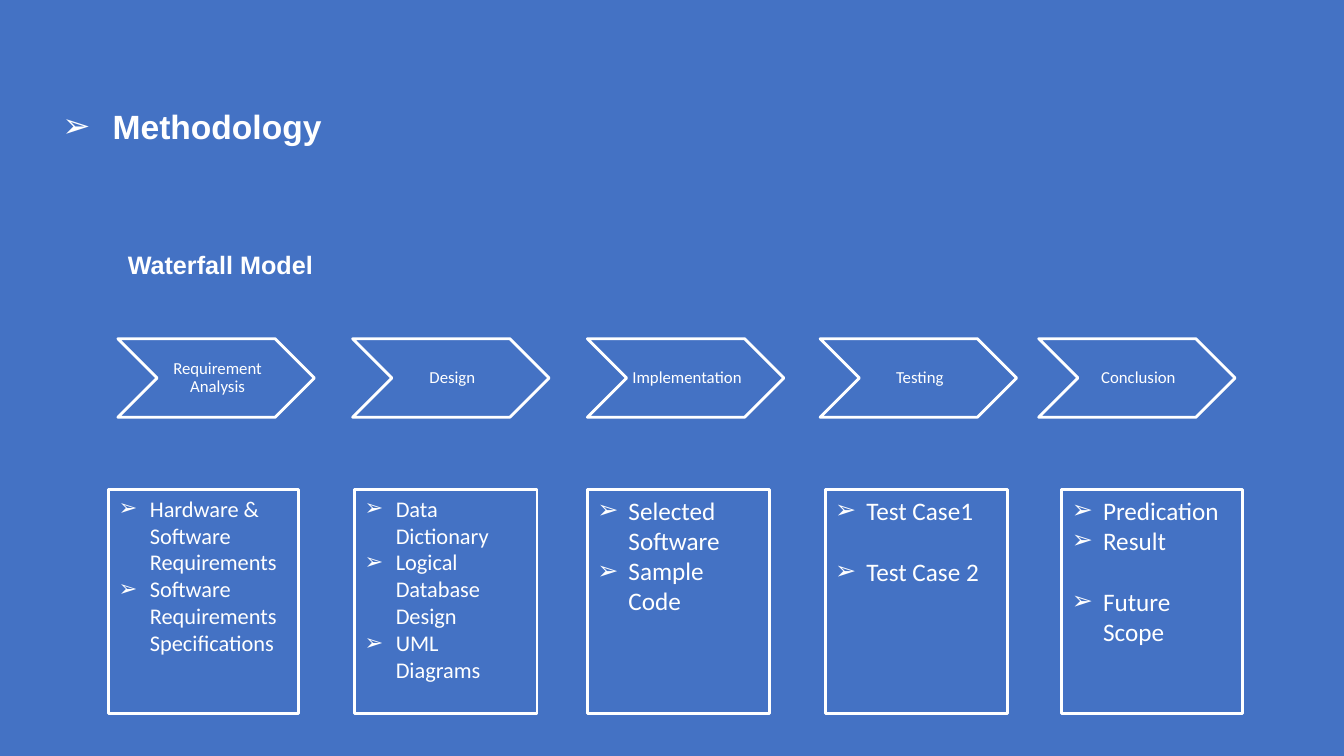
from dataclasses import dataclass

import pptx
import pptx.dml.color
import pptx.enum.shapes
import pptx.enum.text
import pptx.oxml
import pptx.oxml.ns
import pptx.presentation
import pptx.shapes.autoshape
import pptx.slide
import pptx.text.text
import pptx.util
from pptx.util import Inches

SHAPE = pptx.enum.shapes.MSO_SHAPE
ALIGN = pptx.enum.text.PP_ALIGN
ANCHOR = pptx.enum.text.MSO_ANCHOR


@dataclass(frozen=True)
class Theme:
    blue: str = "4472C4"
    white: str = "FFFFFF"
    heading_font: str = "Arial"
    body_font: str = "Calibri"
    title_size: int = 24
    subtitle_size: int = 18
    step_size: int = 12
    compact_size: int = 16
    detail_size: int = 18
    outline: float = 2
    item_gap: float = 22


@dataclass(frozen=True)
class Item:
    text: str
    gap_before: bool = False


@dataclass(frozen=True)
class Stage:
    name: str
    chevron_left: float
    box_left: float
    box_width: float
    size: int
    items: tuple[Item, ...]


THEME = Theme()
CHEVRON_TOP, CHEVRON_WIDTH, CHEVRON_HEIGHT = 3.36, 1.95, 0.78
BOX_TOP, BOX_HEIGHT = 4.86, 2.22

STAGES = (
    Stage("Requirement Analysis", 1.17, 1.08, 1.88, THEME.compact_size,
          (Item("Hardware & Software Requirements"),
           Item("Software Requirements Specifications"))),
    Stage("Design", 3.5, 3.52, 1.81, THEME.compact_size,
          (Item("Data Dictionary"), Item("Logical Database Design"), Item("UML Diagrams"))),
    Stage("Implementation", 5.83, 5.83, 1.81, THEME.detail_size,
          (Item("Selected Software"), Item("Sample Code"))),
    Stage("Testing", 8.14, 8.19, 1.81, THEME.detail_size,
          (Item("Test Case1"), Item("Test Case 2", gap_before=True))),
    Stage("Conclusion", 10.31, 10.54, 1.79, THEME.detail_size,
          (Item("Predication"), Item("Result"), Item("Future Scope", gap_before=True))),
)


def rgb(color: str) -> pptx.dml.color.RGBColor:
    return pptx.dml.color.RGBColor.from_string(color)


def add_bullet(p: pptx.text.text._Paragraph, indent: float) -> None:
    """Give the paragraph a white arrowhead bullet with a hanging indent."""
    pPr = p._p.get_or_add_pPr()
    pPr.set("marL", str(Inches(indent)))
    pPr.set("indent", str(-Inches(indent)))
    ns = pptx.oxml.ns.nsdecls("a")
    for xml in (f'<a:buClr {ns}><a:srgbClr val="{THEME.white}"/></a:buClr>',
                f'<a:buFont {ns} typeface="{THEME.heading_font}"/>',
                f'<a:buChar {ns} char="➢"/>'):
        pPr.append(pptx.oxml.parse_xml(xml))


def write(tf: pptx.text.text.TextFrame, text: str, *, size: float,
          font: str = THEME.body_font, bold: bool = False,
          align: ALIGN = ALIGN.LEFT, line_spacing: float = 1.0,
          space_before: float = 0, bullet_indent: float = 0) -> None:
    """Fill the empty first paragraph, or add another one after it."""
    p = tf.add_paragraph() if tf.text else tf.paragraphs[0]
    if bullet_indent:
        add_bullet(p, bullet_indent)
    p.alignment = align
    p.line_spacing = line_spacing
    if space_before:
        p.space_before = pptx.util.Pt(space_before)
    r = p.add_run()
    r.text = text
    r.font.name = font
    r.font.size = pptx.util.Pt(size)
    r.font.bold = bold
    r.font.color.rgb = rgb(THEME.white)


def add_heading(s: pptx.slide.Slide, text: str, left: float, top: float,
                width: float, height: float, *, size: float,
                bullet_indent: float = 0) -> None:
    tf = s.shapes.add_textbox(Inches(left), Inches(top), Inches(width), Inches(height)).text_frame
    tf.word_wrap = True
    write(tf, text, size=size, font=THEME.heading_font, bold=True, bullet_indent=bullet_indent)


def add_outlined(s: pptx.slide.Slide, kind: SHAPE, left: float, top: float,
                 width: float, height: float) -> pptx.shapes.autoshape.Shape:
    sp = s.shapes.add_shape(kind, Inches(left), Inches(top), Inches(width), Inches(height))
    sp.shadow.inherit = False
    sp.fill.solid()
    sp.fill.fore_color.rgb = rgb(THEME.blue)
    sp.line.color.rgb = rgb(THEME.white)
    sp.line.width = pptx.util.Pt(THEME.outline)
    sp.text_frame.word_wrap = True
    return sp


def add_stage(s: pptx.slide.Slide, stage: Stage) -> None:
    """Draw the chevron of a stage and the box of details below it."""
    tf = add_outlined(s, SHAPE.CHEVRON, stage.chevron_left, CHEVRON_TOP,
                      CHEVRON_WIDTH, CHEVRON_HEIGHT).text_frame
    tf.vertical_anchor = ANCHOR.MIDDLE
    tf.margin_left = Inches(0.05)
    tf.margin_top = tf.margin_right = tf.margin_bottom = Inches(0.02)
    write(tf, stage.name, size=THEME.step_size, align=ALIGN.CENTER, line_spacing=0.9)

    tf = add_outlined(s, SHAPE.RECTANGLE, stage.box_left, BOX_TOP,
                      stage.box_width, BOX_HEIGHT).text_frame
    tf.vertical_anchor = ANCHOR.TOP
    for item in stage.items:
        write(tf, item.text, size=stage.size, bullet_indent=0.31,
              space_before=THEME.item_gap if item.gap_before else 0)


def build() -> pptx.presentation.Presentation:
    prs = pptx.Presentation()
    prs.slide_width, prs.slide_height = Inches(13.34), Inches(7.5)
    s = prs.slides.add_slide(prs.slide_layouts[6])
    s.background.fill.solid()
    s.background.fill.fore_color.rgb = rgb(THEME.blue)
    add_heading(s, "Methodology", 0.52, 1, 2.8, 0.5,
                size=THEME.title_size, bullet_indent=0.5)
    add_heading(s, "Waterfall Model", 1.17, 2.42, 2.1, 0.4, size=THEME.subtitle_size)
    for stage in STAGES:
        add_stage(s, stage)
    return prs


if __name__ == "__main__":
    build().save("out.pptx")
